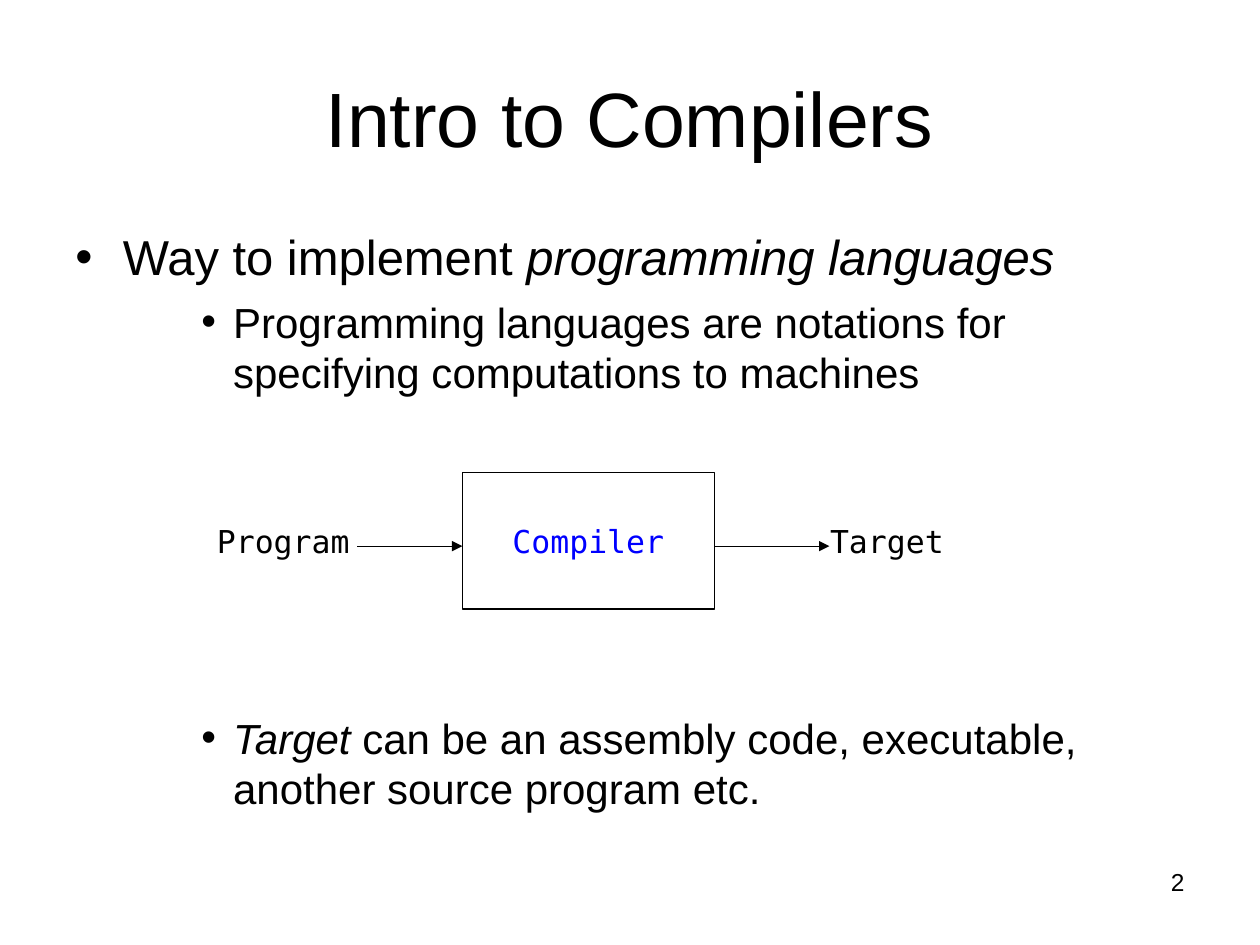
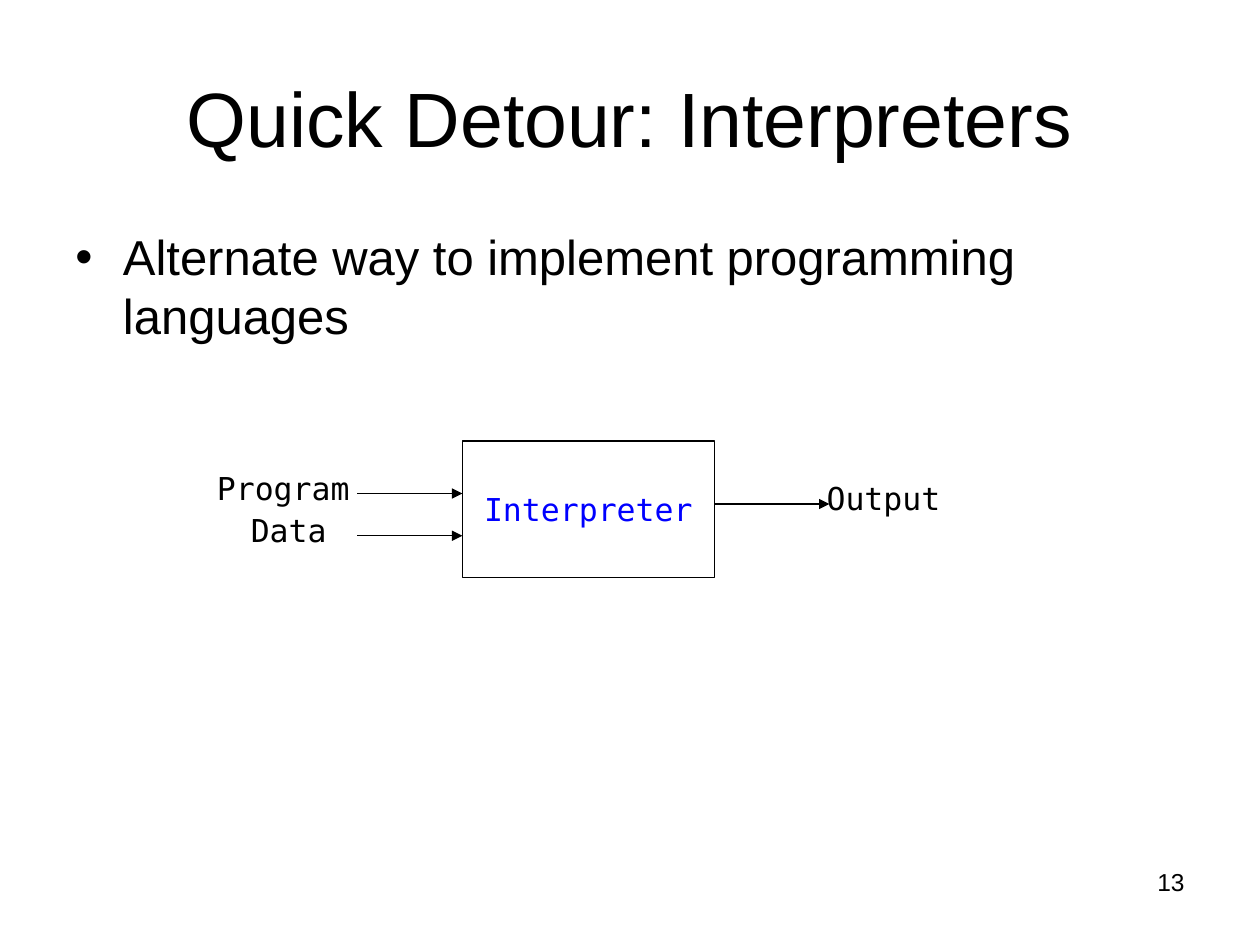
"""Build two slides that introduce compilers and interpreters."""
import pptx
import pptx.dml.color
import pptx.enum.shapes
import pptx.enum.text
import pptx.oxml.ns
import pptx.util
from lxml import etree

Cm = pptx.util.Cm
Pt = pptx.util.Pt
ALIGN = pptx.enum.text.PP_ALIGN
ANCHOR = pptx.enum.text.MSO_ANCHOR
AUTO_SIZE = pptx.enum.text.MSO_AUTO_SIZE
qn = pptx.oxml.ns.qn

SLIDES = [
    {
        "title": "Intro to Compilers",
        "number": "2",
        "bullets": [
            (0, 7, [("Way to implement ", False), ("programming languages", True)]),
            (1, 6, [("Programming languages are notations for specifying "
                     "computations to machines", False)]),
            (1, 180, [("Target", True),
                      (" can be an assembly code, executable, another source "
                       "program etc.", False)]),
        ],
        "machine": ("Compiler", 9.53),
        "inputs": [("Program", 5.71, 11.01)],
        "output": ("Target", 17.88, 11.01),
    },
    {
        "title": "Quick Detour: Interpreters",
        "number": "13",
        "bullets": [
            (0, 7, [("Alternate way to implement programming languages", False)]),
        ],
        "machine": ("Interpreter", 8.89),
        "inputs": [("Program", 5.71, 9.95), ("Data", 5.82, 10.8)],
        "output": ("Output", 17.81, 10.16),
    },
]

BLACK = pptx.dml.color.RGBColor(0, 0, 0)
BLUE = pptx.dml.color.RGBColor(0, 0, 255)
TEXT_FONT = "Arial"
CODE_FONT = "DejaVu Sans Mono"
CODE_SIZE = 18
LINE_WIDTH = Pt(0.75)

TITLE_BOX = (1.27, 0.76, 22.86, 3.18)
BODY_BOX = (1.27, 4.45, 22.86, 12.57)
NUMBER_BOX = (18.2, 17.36, 5.93, 1.31)
LEVELS = [(0.96, 0.96, 28), (3.18, 0.64, 24)]

MACHINE_LEFT, MACHINE_WIDTH, MACHINE_HEIGHT = 9.32, 5.08, 2.75
MACHINE_RIGHT = MACHINE_LEFT + MACHINE_WIDTH
INPUT_START, OUTPUT_END = 7.2, 16.72
LABEL_HEIGHT, LABEL_RISE = 1.02, 0.62
CHARACTER_WIDTH, LABEL_PADDING = 0.39, 0.55


def style(paragraph, size, name=TEXT_FONT, color=BLACK, align=ALIGN.LEFT):
    paragraph.alignment = align
    paragraph.font.size = Pt(size)
    paragraph.font.name = name
    paragraph.font.color.rgb = color


def add_text(slide, box, text, size, align, name=TEXT_FONT, anchor=ANCHOR.TOP):
    frame = slide.shapes.add_textbox(*map(Cm, box)).text_frame
    frame.word_wrap = True
    frame.vertical_anchor = anchor
    frame.text = text
    style(frame.paragraphs[0], size, name, align=align)
    return frame


def add_bullet(paragraph, level, space_before, runs):
    margin, hanging, size = LEVELS[level]
    paragraph.level = level * 2
    paragraph.space_before = Pt(space_before)
    properties = paragraph._p.get_or_add_pPr()
    properties.set("marL", str(Cm(margin)))
    properties.set("indent", str(-Cm(hanging)))
    etree.SubElement(properties, qn("a:buFont"), typeface=TEXT_FONT)
    etree.SubElement(properties, qn("a:buChar"), char="•")
    style(paragraph, size)
    for text, italic in runs:
        run = paragraph.add_run()
        run.text = text
        if italic:
            run.font.italic = True


def add_body(slide, bullets):
    frame = slide.shapes.add_textbox(*map(Cm, BODY_BOX)).text_frame
    frame.word_wrap = True
    for index, bullet in enumerate(bullets):
        paragraph = frame.add_paragraph() if index else frame.paragraphs[0]
        add_bullet(paragraph, *bullet)


def add_machine(slide, name, top):
    shape = slide.shapes.add_shape(
        pptx.enum.shapes.MSO_SHAPE.RECTANGLE,
        *map(Cm, (MACHINE_LEFT, top, MACHINE_WIDTH, MACHINE_HEIGHT)))
    shape.shadow.inherit = False
    shape.fill.background()
    shape.line.color.rgb = BLACK
    shape.line.width = LINE_WIDTH
    frame = shape.text_frame
    frame.word_wrap = False
    frame.vertical_anchor = ANCHOR.MIDDLE
    frame.text = name
    style(frame.paragraphs[0], CODE_SIZE, CODE_FONT, BLUE, ALIGN.CENTER)


def add_arrow(slide, start, end, height):
    connector = slide.shapes.add_connector(
        pptx.enum.shapes.MSO_CONNECTOR.STRAIGHT,
        *map(Cm, (start, height, end, height)))
    connector.line.color.rgb = BLACK
    connector.line.width = LINE_WIDTH
    etree.SubElement(connector.line._get_or_add_ln(), qn("a:tailEnd"), type="triangle")
    etree.SubElement(connector._element.spPr, qn("a:effectLst"))


def add_label(slide, text, center, arrow_height):
    width = len(text) * CHARACTER_WIDTH + LABEL_PADDING
    box = (center - width / 2, arrow_height - LABEL_RISE, width, LABEL_HEIGHT)
    frame = add_text(slide, box, text, CODE_SIZE, ALIGN.CENTER, CODE_FONT)
    frame.word_wrap = False
    frame.auto_size = AUTO_SIZE.SHAPE_TO_FIT_TEXT


def add_diagram(slide, content):
    add_machine(slide, *content["machine"])
    for text, center, height in content["inputs"]:
        add_label(slide, text, center, height)
        add_arrow(slide, INPUT_START, MACHINE_LEFT, height)
    text, center, height = content["output"]
    add_label(slide, text, center, height)
    add_arrow(slide, MACHINE_RIGHT, OUTPUT_END, height)


def main():
    presentation = pptx.Presentation()
    presentation.slide_width = Cm(25.4)
    presentation.slide_height = Cm(19.05)
    for content in SLIDES:
        slide = presentation.slides.add_slide(presentation.slide_layouts[6])
        add_text(slide, NUMBER_BOX, content["number"], 14, ALIGN.RIGHT)
        add_text(slide, TITLE_BOX, content["title"], 44, ALIGN.CENTER,
                 anchor=ANCHOR.MIDDLE)
        add_body(slide, content["bullets"])
        add_diagram(slide, content)
    presentation.save("out.pptx")


if __name__ == "__main__":
    main()
